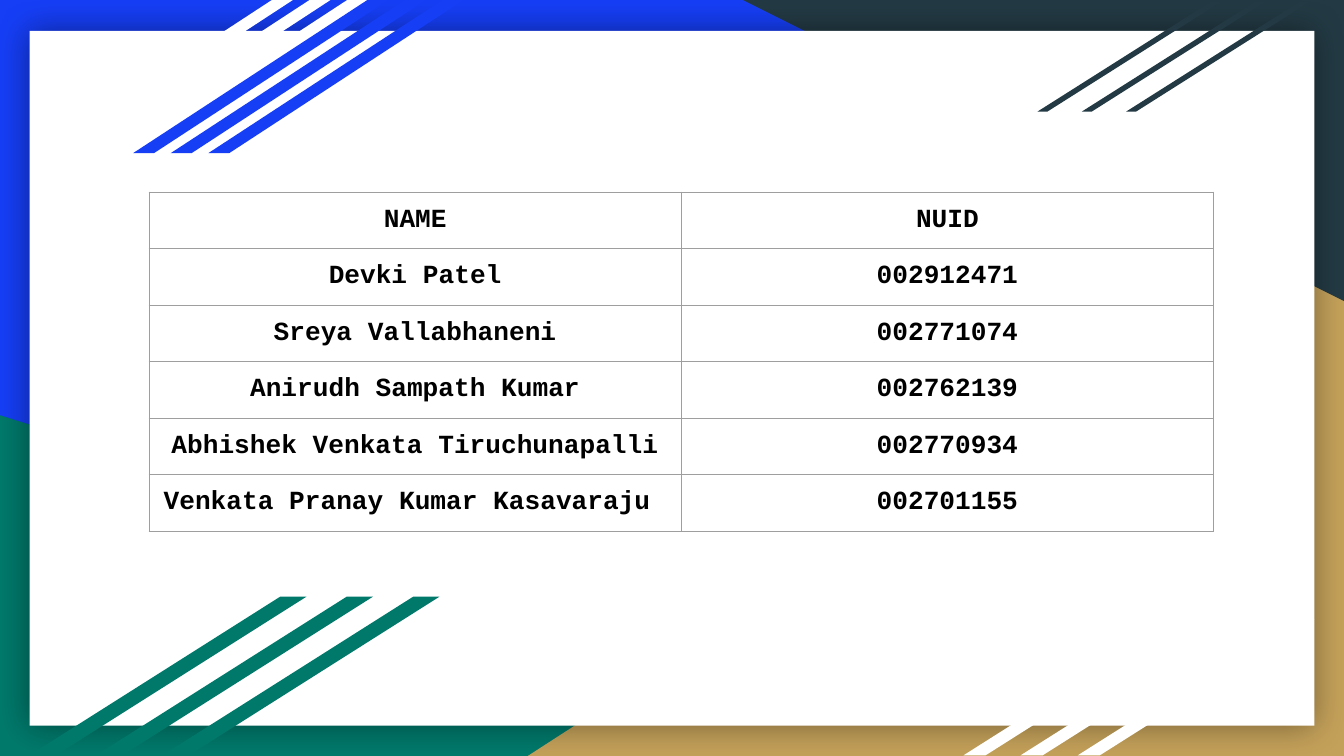
import dataclasses

import lxml.etree
import pptx
import pptx.dml.color
import pptx.enum.shapes
import pptx.enum.text
import pptx.oxml
import pptx.oxml.ns
import pptx.util

Inches = pptx.util.Inches
Shapes = pptx.enum.shapes.MSO_SHAPE
qn = pptx.oxml.ns.qn


@dataclasses.dataclass(frozen=True)
class Theme:
    blue: str = "163EF5"
    green: str = "00796B"
    gold: str = "C4A15A"
    slate: str = "233A44"
    white: str = "FFFFFF"
    black: str = "000000"
    border: str = "9E9E9E"
    font: str = "Courier New"
    size: int = 14


theme = Theme()


def rgb(value):
    return pptx.dml.color.RGBColor.from_string(value)


def add_filled(page, kind, left, top, width, height, color):
    shape = page.shapes.add_shape(
        kind, Inches(left), Inches(top), Inches(width), Inches(height)
    )
    shape.shadow.inherit = False
    shape.fill.solid()
    shape.fill.fore_color.rgb = rgb(color)
    shape.line.fill.background()
    return shape


deck = pptx.Presentation()
deck.slide_width = Inches(10)
deck.slide_height = Inches(10 * 9 / 16)
page = deck.slides.add_slide(deck.slide_layouts[6])
page.background.fill.solid()
page.background.fill.fore_color.rgb = rgb(theme.blue)

add_filled(page, Shapes.RIGHT_TRIANGLE, 0, 3.09, 8.06, 2.54, theme.green)
gold_corner = add_filled(
    page, Shapes.RIGHT_TRIANGLE, 3.92, 1.7, 6.08, 3.93, theme.gold
)
gold_corner._element.spPr.find(qn("a:xfrm")).set("flipH", "1")
slate_corner = add_filled(
    page, Shapes.RIGHT_TRIANGLE, 5.53, 0, 4.47, 2.24, theme.slate
)
slate_corner.rotation = 180

card = add_filled(page, Shapes.RECTANGLE, 0.22, 0.23, 9.56, 5.17, theme.white)
effects = card._element.spPr.find(qn("a:effectLst"))
shadow = lxml.etree.SubElement(
    effects,
    qn("a:outerShdw"),
    blurRad=str(pptx.util.Pt(18)),
    dist="0",
    dir="0",
    algn="ctr",
    rotWithShape="0",
)
shadow_color = lxml.etree.SubElement(shadow, qn("a:srgbClr"), val=theme.black)
lxml.etree.SubElement(shadow_color, qn("a:alpha"), val="40000")

stripe_groups = [
    (0.28, 0.84, 0, 1.9, 1.14, 1.53, theme.white),
    (0.99, 1.55, 0, 1.9, 1.14, 1.53, theme.blue),
    (7.72, 8.38, 0.01, 1.37, 0.82, 1.58, theme.slate),
    (7.17, 8.02, 4.61, 1.76, 1.01, 1.58, theme.white),
    (0.22, 1.21, 4.44, 2.06, 1.18, 1.58, theme.green),
]
for first, last, top, width, height, slant, color in stripe_groups:
    for index in range(3):
        left = last - index * (last - first) / 2
        stripe = add_filled(
            page, Shapes.PARALLELOGRAM, left, top, width, height, color
        )
        stripe.adjustments[0] = slant

members = [
    ("NAME", "NUID"),
    ("Devki Patel", "002912471"),
    ("Sreya Vallabhaneni", "002771074"),
    ("Anirudh Sampath Kumar", "002762139"),
    ("Abhishek Venkata Tiruchunapalli", "002770934"),
    ("Venkata Pranay Kumar Kasavaraju ", "002701155"),
]
column_width, row_height = 3.96, 0.42
table = page.shapes.add_table(
    len(members), 2, Inches(1.11), Inches(1.43),
    Inches(2 * column_width), Inches(row_height * len(members)),
).table
table.first_row = False
table.horz_banding = False
for column in table.columns:
    column.width = Inches(column_width)
for row, member in zip(table.rows, members):
    row.height = Inches(row_height)
    for cell, text in zip(row.cells, member):
        cell.margin_left = cell.margin_right = Inches(0.1)
        cell.margin_top = cell.margin_bottom = Inches(0.1)
        cell.text = text
        para = cell.text_frame.paragraphs[0]
        para.alignment = pptx.enum.text.PP_ALIGN.CENTER
        para.font.name = theme.font
        para.font.size = pptx.util.Pt(theme.size)
        para.font.bold = True
        para.font.color.rgb = rgb(theme.black)
        properties = cell._tc.get_or_add_tcPr()
        for side in ("a:lnL", "a:lnR", "a:lnT", "a:lnB"):
            edge = lxml.etree.SubElement(
                properties, qn(side), w=str(pptx.util.Pt(0.75))
            )
            edge_fill = lxml.etree.SubElement(edge, qn("a:solidFill"))
            lxml.etree.SubElement(edge_fill, qn("a:srgbClr"), val=theme.border)
        cell.fill.background()

deck.save("out.pptx")
